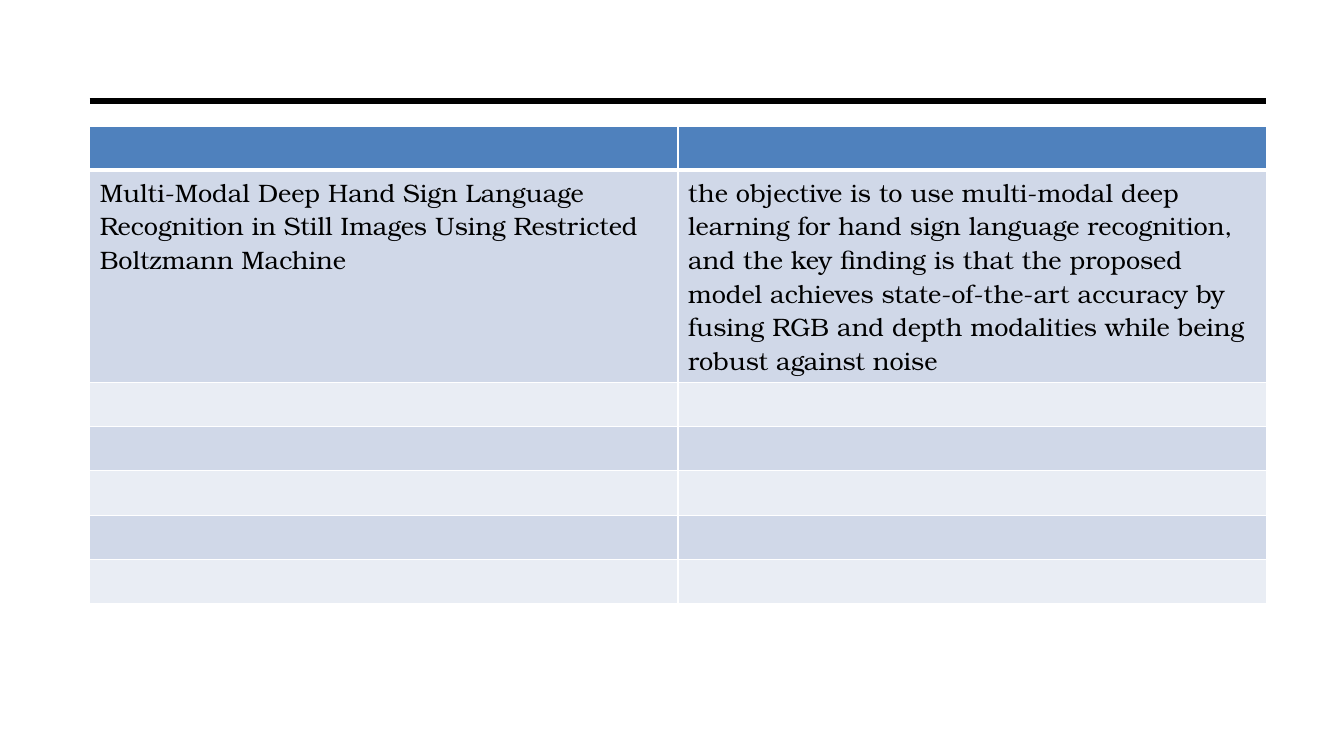
from lxml import etree
from pptx import Presentation
from pptx.dml.color import RGBColor
from pptx.enum.shapes import MSO_CONNECTOR
from pptx.oxml.ns import qn
from pptx.util import Inches, Pt

STRAIGHT = MSO_CONNECTOR.STRAIGHT
FONT = "TeX Gyre Bonum"
HEADER, BAND_DARK, BAND_LIGHT = "4F81BD", "D0D8E8", "E9EDF4"
BLACK, WHITE = "000000", "FFFFFF"

LEFT, WIDTH = 0.89, 11.67
ROW_HEIGHT, PAPER_HEIGHT = 0.44, 2.09
ROWS = 7
PAPER_ROW = 1
PAPER = (
    "Multi-Modal Deep Hand Sign Language Recognition in Still Images "
    "Using Restricted Boltzmann Machine",
    "the objective is to use multi-modal deep learning for hand sign language "
    "recognition, and the key finding is that the proposed model achieves "
    "state-of-the-art accuracy by fusing RGB and depth modalities while being "
    "robust against noise",
)


def rgb(value):
    return RGBColor.from_string(value)


def set_borders(cell, widths):
    """Draw white borders, with widths in points for left, right, top, bottom."""
    tc_pr = cell._tc.get_or_add_tcPr()
    for i, (side, width) in enumerate(zip("LRTB", widths)):
        ln = etree.Element(qn(f"a:ln{side}"), w=str(Pt(width)))
        fill = etree.SubElement(ln, qn("a:solidFill"))
        etree.SubElement(fill, qn("a:srgbClr"), val=WHITE)
        tc_pr.insert(i, ln)


def add_rule(slide, left, top, width):
    y = Inches(top)
    line = slide.shapes.add_connector(
        STRAIGHT, Inches(left), y, Inches(left + width), y)
    line.line.color.rgb = rgb(BLACK)
    line.line.width = Pt(4.5)
    etree.SubElement(line._element.spPr, qn("a:effectLst"))


def add_paper_table(slide, left, top, width):
    height = ROW_HEIGHT * (ROWS - 1) + PAPER_HEIGHT
    table = slide.shapes.add_table(
        ROWS, len(PAPER), Inches(left), Inches(top),
        Inches(width), Inches(height)).table
    for r, row in enumerate(table.rows):
        row.height = Inches(PAPER_HEIGHT if r == PAPER_ROW else ROW_HEIGHT)
        band = HEADER if r == 0 else BAND_DARK if r % 2 else BAND_LIGHT
        top_width = 3 if r == 1 else 1
        bottom_width = 3 if r == 0 else 1
        for cell in row.cells:
            cell.fill.solid()
            cell.fill.fore_color.rgb = rgb(band)
            set_borders(cell, (1, 1, top_width, bottom_width))
    for cell, text in zip(table.rows[PAPER_ROW].cells, PAPER):
        p = cell.text_frame.paragraphs[0]
        p.text = text
        p.font.name = FONT
        p.font.size = Pt(18)
        p.font.color.rgb = rgb(BLACK)


def main():
    prs = Presentation()
    prs.slide_width, prs.slide_height = Inches(13.33), Inches(7.5)
    slide = prs.slides.add_slide(prs.slide_layouts[6])
    add_rule(slide, LEFT, 1, WIDTH)
    add_paper_table(slide, LEFT, 1.25, WIDTH)
    prs.save("out.pptx")


if __name__ == "__main__":
    main()
